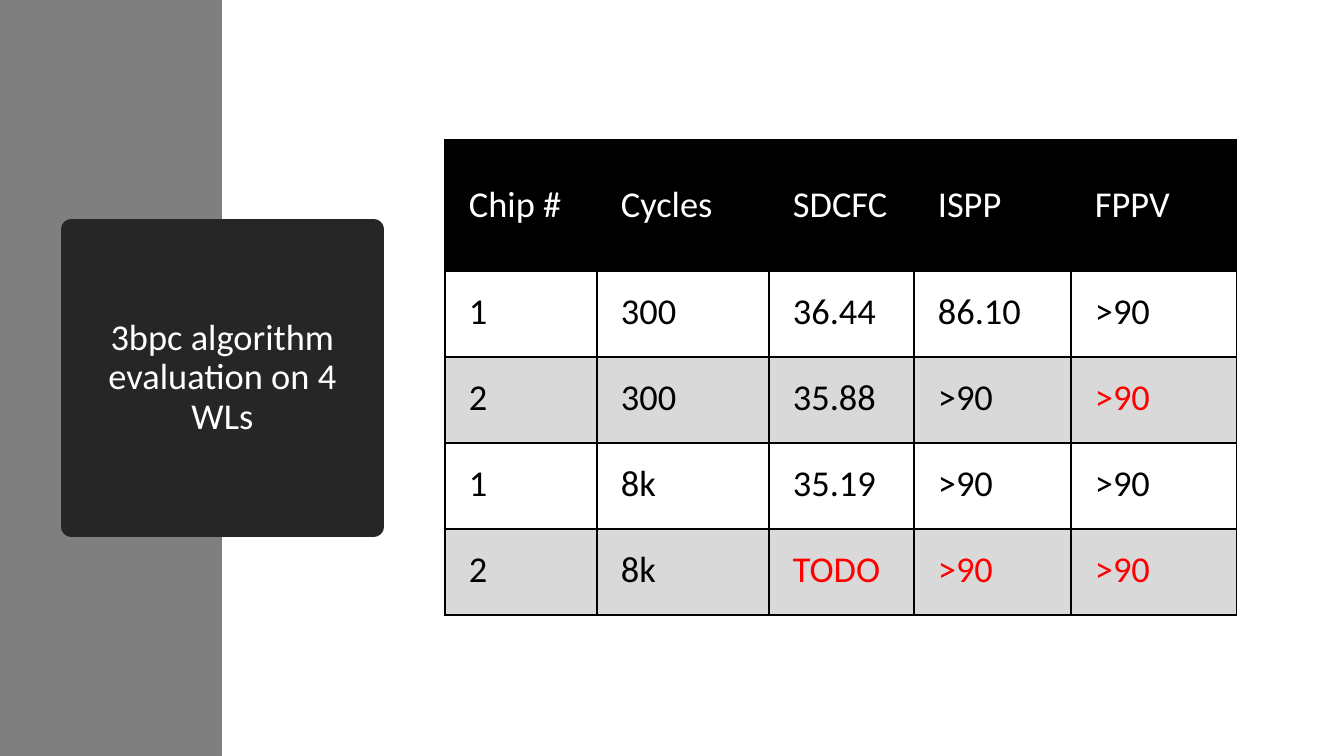
import dataclasses

import pptx
import pptx.dml.color
import pptx.enum.shapes
import pptx.enum.text
import pptx.oxml
import pptx.oxml.ns
import pptx.util

EMU_PER_PX = 914400 / 100.8
FONT = "Calibri"
COLORS = {
    "band": "7F7F7F",
    "title": "262626",
    "header": "000000",
    "stripe": "D9D9D9",
    "border": "000000",
    "text": "000000",
    "light": "FFFFFF",
    "alert": "FF0000",
}


@dataclasses.dataclass(frozen=True)
class Result:
    """One table row; alerts holds the columns shown in red."""

    values: tuple[str, ...]
    alerts: tuple[int, ...] = ()


COLUMN_WIDTHS = (152, 172, 145, 157, 166)
HEADER_HEIGHT, RESULT_HEIGHT = 131, 86
HEADINGS = Result(("Chip #", "Cycles", "SDCFC", "ISPP", "FPPV"))
RESULTS = (
    Result(("1", "300", "36.44", "86.10", ">90")),
    Result(("2", "300", "35.88", ">90", ">90"), alerts=(4,)),
    Result(("1", "8k", "35.19", ">90", ">90")),
    Result(("2", "8k", "TODO", ">90", ">90"), alerts=(2, 3, 4)),
)


def px(length: int) -> pptx.util.Emu:
    return pptx.util.Emu(round(length * EMU_PER_PX))


def rgb(name: str) -> pptx.dml.color.RGBColor:
    return pptx.dml.color.RGBColor.from_string(COLORS[name])


def paint(fill, color: str) -> None:
    fill.solid()
    fill.fore_color.rgb = rgb(color)


def write(frame, text: str, *, color: str = "text", size: int = 26,
          align=pptx.enum.text.PP_ALIGN.LEFT, spacing: float = 1.0) -> None:
    paragraph = frame.paragraphs[0]
    paragraph.alignment = align
    paragraph.line_spacing = spacing
    run = paragraph.add_run()
    run.text = text
    run.font.name = FONT
    run.font.size = pptx.util.Pt(size)
    run.font.bold = False
    run.font.color.rgb = rgb(color)


def add_borders(cell) -> None:
    properties = cell._tc.get_or_add_tcPr()
    for position, side in enumerate(("lnL", "lnR", "lnT", "lnB")):
        border = pptx.oxml.parse_xml(
            f'<a:{side} {pptx.oxml.ns.nsdecls("a")} w="{pptx.util.Pt(1)}"><a:solidFill>'
            f'<a:srgbClr val="{COLORS["border"]}"/></a:solidFill></a:{side}>'
        )
        properties.insert(position, border)


def format_cell(cell, text: str, *, color: str, fill: str | None, anchor) -> None:
    cell.margin_left, cell.margin_right = px(24), px(18)
    cell.margin_top = cell.margin_bottom = px(19)
    cell.vertical_anchor = anchor
    if fill:
        paint(cell.fill, fill)
    else:
        cell.fill.background()
    add_borders(cell)
    write(cell.text_frame, text, color=color)


def add_title(slide) -> None:
    title = slide.shapes.title
    title.left, title.top, title.width, title.height = px(71), px(229), px(303), px(298)
    paint(title.fill, "title")
    paint(title.line.fill, "title")
    title.line.width = pptx.util.Pt(13.75)
    frame = title.text_frame
    frame.word_wrap = True
    frame.auto_size = pptx.enum.text.MSO_AUTO_SIZE.NONE
    frame.vertical_anchor = pptx.enum.text.MSO_ANCHOR.MIDDLE
    write(frame, "3bpc algorithm evaluation on 4 WLs", color="light",
          align=pptx.enum.text.PP_ALIGN.CENTER, spacing=0.9)


def add_side_band(slide) -> None:
    band = slide.shapes.add_shape(
        pptx.enum.shapes.MSO_SHAPE.RECTANGLE, 0, 0, px(222), px(756))
    band.shadow.inherit = False
    paint(band.fill, "band")
    band.line.fill.background()
    # The band lies behind the title
    slide.shapes.title.element.addprevious(band.element)


def add_results(slide) -> None:
    rows = (HEADINGS, *RESULTS)
    height = HEADER_HEIGHT + RESULT_HEIGHT * len(RESULTS)
    table = slide.shapes.add_table(
        len(rows), len(COLUMN_WIDTHS), px(445), px(140),
        px(sum(COLUMN_WIDTHS)), px(height)).table
    table.horz_banding = False
    table.first_row = False
    for column, width in zip(table.columns, COLUMN_WIDTHS):
        column.width = px(width)

    for index, result in enumerate(rows):
        is_header = index == 0
        table.rows[index].height = px(HEADER_HEIGHT if is_header else RESULT_HEIGHT)
        if is_header:
            fill, base_color = "header", "light"
            anchor = pptx.enum.text.MSO_ANCHOR.MIDDLE
        else:
            fill, base_color = ("stripe" if index % 2 == 0 else None), "text"
            anchor = pptx.enum.text.MSO_ANCHOR.TOP
        for column, value in enumerate(result.values):
            color = "alert" if column in result.alerts else base_color
            format_cell(table.cell(index, column), value,
                        color=color, fill=fill, anchor=anchor)


def main() -> None:
    deck = pptx.Presentation()
    deck.slide_width, deck.slide_height = px(1344), px(756)
    slide = deck.slides.add_slide(deck.slide_layouts[5])

    # Left side: grey band and title block
    add_title(slide)
    add_side_band(slide)

    # Right side: evaluation results
    add_results(slide)
    deck.save("out.pptx")


if __name__ == "__main__":
    main()
